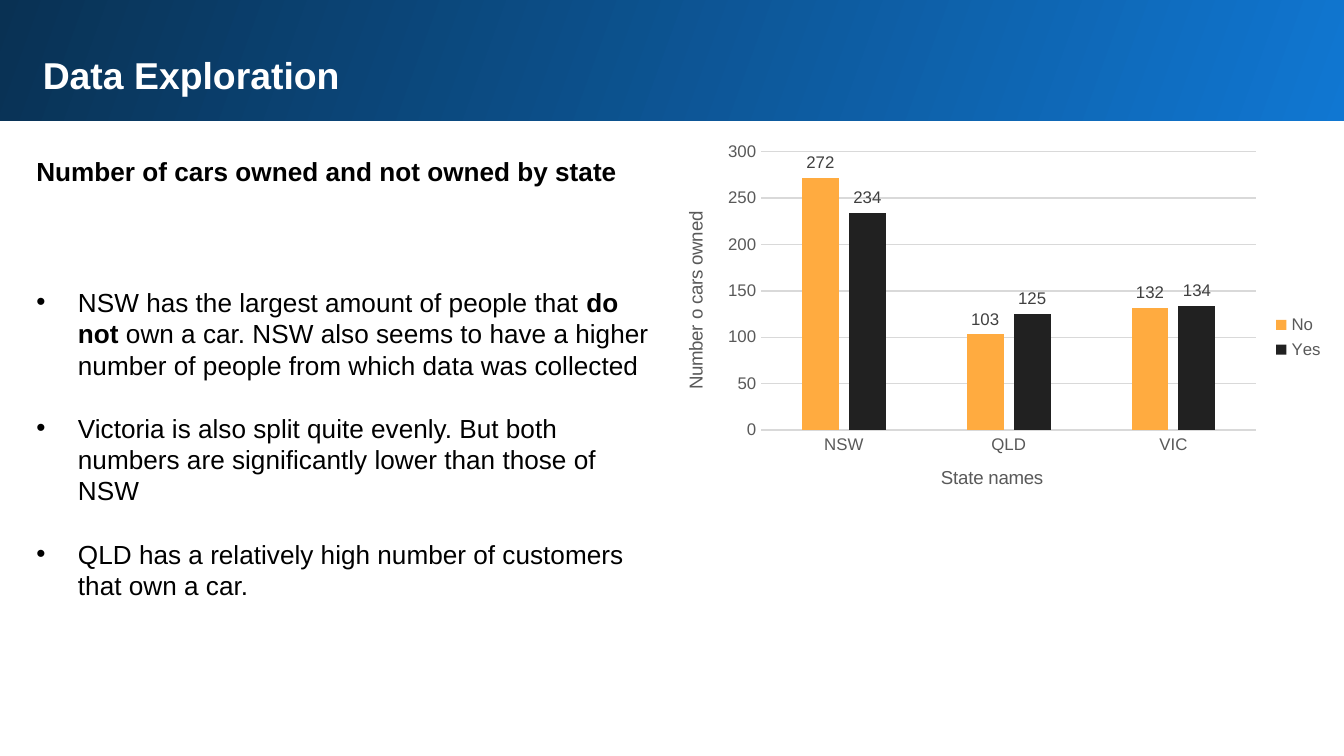
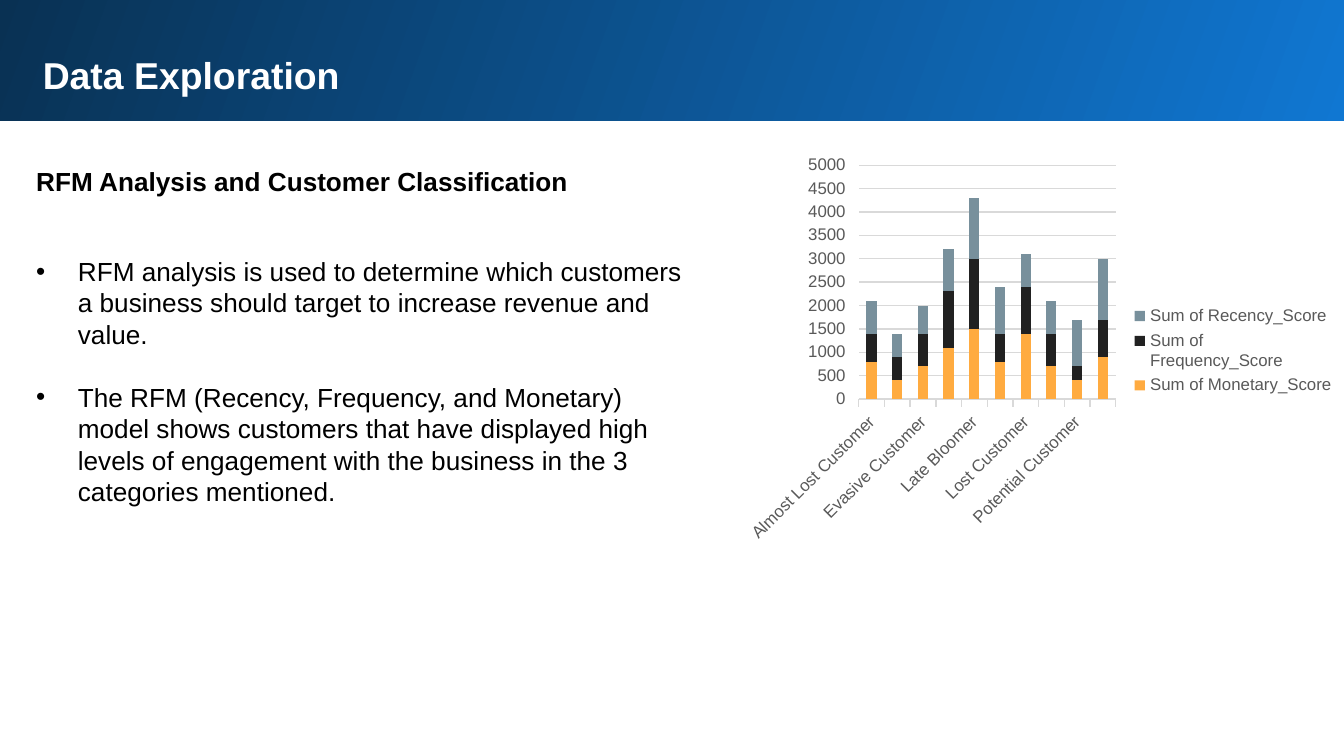
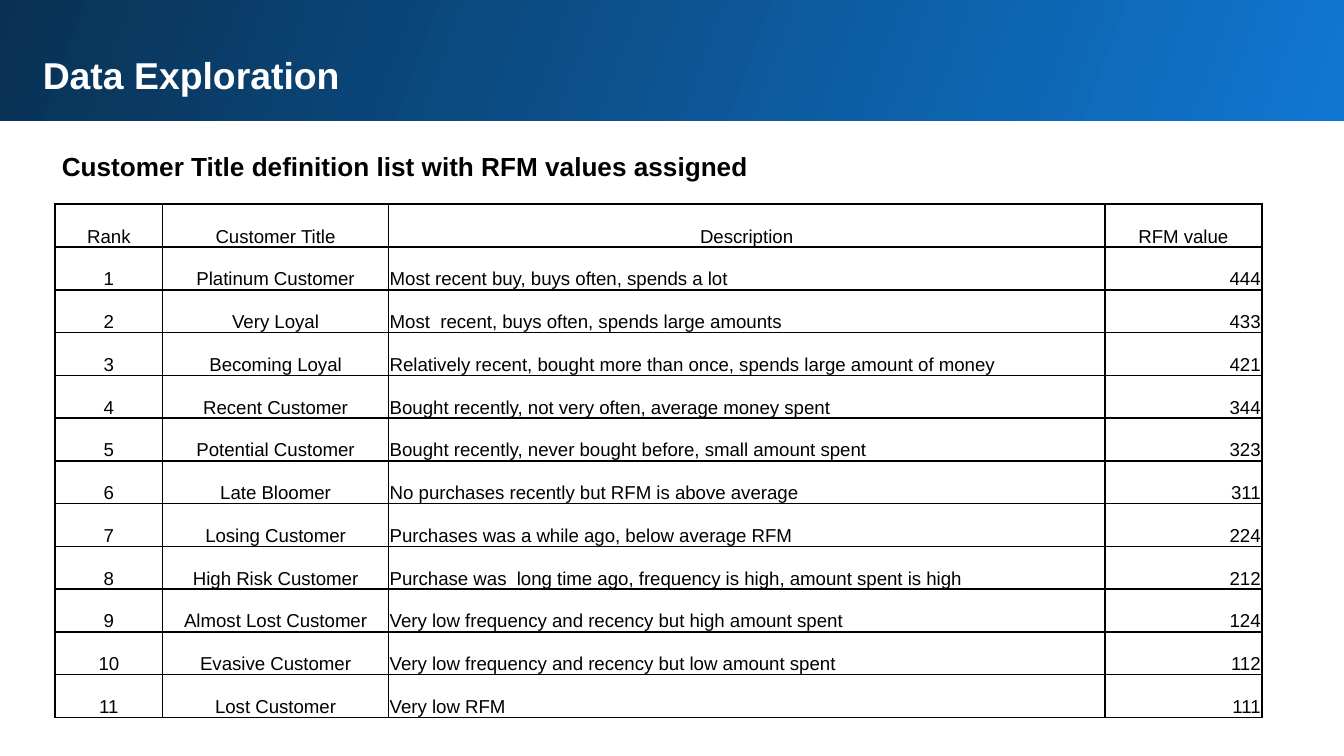
from lxml.etree import SubElement
from pptx import Presentation
from pptx.chart.data import CategoryChartData
from pptx.dml.color import RGBColor
from pptx.enum.chart import XL_CHART_TYPE as ChartType, XL_LABEL_POSITION as LabelSpot
from pptx.enum.chart import XL_LEGEND_POSITION as LegendSpot, XL_TICK_MARK as Tick
from pptx.enum.shapes import MSO_SHAPE as Shape
from pptx.enum.text import MSO_ANCHOR as Anchor, MSO_AUTO_SIZE as AutoSize, PP_ALIGN as Align
from pptx.oxml import parse_xml
from pptx.oxml.ns import nsdecls, qn
from pptx.util import Inches, Pt

# Shared look
WIDTH = 10
HEIGHT = WIDTH * 9 / 16
FONT = "Arial"
COLORS = {"bright": "1077D2", "navy": "093153", "white": "FFFFFF", "black": "000000",
          "orange": "FFAB40", "charcoal": "212121", "slate": "78909C",
          "axis": "595959", "label": "404040", "grid": "D9D9D9"}
TITLE = "Data Exploration"
LEFT, INDENT, BULLET_GAP = 0.22, 0.31, 17

# Content: text is a list of paragraphs, each a list of (words, bold)
CHART_PAGES = [
    {"heading": ("Number of cars owned and not owned by state", 1.11, 4.68),
     "bullets_at": (2.08, 4.75, 2.22),
     "bullets": [
         [("NSW has the largest amount of people that ", False), ("do not", True),
          (" own a car. NSW also seems to have a higher number of people "
           "from which data was collected", False)],
         [("Victoria is also split quite evenly. But both numbers are "
           "significantly lower than those of NSW", False)],
         [("QLD has a relatively high number of customers that own a car.", False)]],
     "chart": {
         "kind": ChartType.COLUMN_CLUSTERED, "at": (4.91, 1.01, 5.04, 3),
         "plot": (0.15, 0.04, 0.73, 0.69), "gap": 219, "overlap": -27,
         "top": 300, "step": 50, "tick": Tick.NONE, "labels": True,
         "titles": [("State names", 0.41, 0.81), ("Number o cars owned", 0.03, 0.18)],
         "categories": ["NSW", "QLD", "VIC"],
         "series": [("No", "orange", [272, 103, 132]),
                    ("Yes", "charcoal", [234, 125, 134])]}},
    {"heading": ("RFM Analysis and Customer Classification", 1.18, 5.26),
     "bullets_at": (1.85, 5.03, 1.99),
     "bullets": [
         [("RFM analysis is used to determine which customers a business should "
           "target to increase revenue and value.", False)],
         [("The RFM (Recency, Frequency, and Monetary) model shows customers that "
           "have displayed high levels of engagement with the business in the 3 "
           "categories mentioned.", False)]],
     "chart": {
         "kind": ChartType.COLUMN_STACKED, "at": (5.48, 1.11, 4.55, 3),
         "plot": (0.2, 0.04, 0.42, 0.58), "gap": 150, "overlap": 100,
         "top": 5000, "step": 500, "tick": Tick.OUTSIDE, "labels": False, "titles": [],
         "categories": ["Almost Lost Customer", "Becoming Loyal", "Evasive Customer",
                        "High Risk Customer", "Late Bloomer", "Losing Customer",
                        "Lost Customer", "Platinum Customer", "Potential Customer",
                        "Recent Customer"],
         "series": [
             ("Sum of Monetary_Score", "orange",
              [800, 400, 700, 1100, 1500, 800, 1400, 700, 400, 900]),
             ("Sum of Frequency_Score", "charcoal",
              [600, 500, 700, 1200, 1500, 600, 1000, 700, 300, 800]),
             ("Sum of Recency_Score", "slate",
              [700, 500, 600, 900, 1300, 1000, 700, 700, 1000, 1300])]}},
]
TABLE_HEADING = "Customer Title definition list with RFM values assigned"
TABLE_AT = (0.41, 1.52, 8.98, 3.82)
TABLE_COLUMNS = [("Rank", 0.8, Align.CENTER), ("Customer Title", 1.68, Align.CENTER),
                 ("Description", 5.33, Align.LEFT), ("RFM value", 1.17, Align.RIGHT)]
CUSTOMERS = [
    ("Platinum Customer", "Most recent buy, buys often, spends a lot", 444),
    ("Very Loyal", "Most  recent, buys often, spends large amounts", 433),
    ("Becoming Loyal",
     "Relatively recent, bought more than once, spends large amount of money", 421),
    ("Recent Customer", "Bought recently, not very often, average money spent", 344),
    ("Potential Customer", "Bought recently, never bought before, small amount spent", 323),
    ("Late Bloomer", "No purchases recently but RFM is above average", 311),
    ("Losing Customer", "Purchases was a while ago, below average RFM", 224),
    ("High Risk Customer",
     "Purchase was  long time ago, frequency is high, amount spent is high", 212),
    ("Almost Lost Customer", "Very low frequency and recency but high amount spent", 124),
    ("Evasive Customer", "Very low frequency and recency but low amount spent", 112),
    ("Lost Customer", "Very low RFM", 111),
]


def rgb(name):
    return RGBColor.from_string(COLORS[name])


def inches(lengths):
    return [Inches(length) for length in lengths]


def style(font, size, color="black", bold=False):
    font.name, font.size, font.bold = FONT, Pt(size), bold
    font.color.rgb = rgb(color)


# Text
def add_text(page, at, paragraphs, size=14, color="black", inset=0.05, bulleted=False):
    box = page.shapes.add_textbox(*inches(at))
    frame = box.text_frame
    frame.word_wrap, frame.auto_size = True, AutoSize.SHAPE_TO_FIT_TEXT
    frame.margin_left = frame.margin_right = Inches(inset)
    frame.margin_top = frame.margin_bottom = Inches(inset)
    for number, spans in enumerate(paragraphs):
        para = frame.add_paragraph() if number else frame.paragraphs[0]
        for words, bold in spans:
            span = para.add_run()
            span.text = words
            style(span.font, size, color, bold)
        if bulleted:
            para.space_before = Pt(BULLET_GAP if number else 0)
            props = para._p.get_or_add_pPr()
            props.set("marL", str(Inches(INDENT)))
            props.set("indent", str(-Inches(INDENT)))
            SubElement(props, qn("a:buFont")).set("typeface", FONT)
            SubElement(props, qn("a:buChar")).set("char", "•")


def add_heading(page, words, left, top, width):
    add_text(page, (left, top, width, 0.34), [[(words, True)]])


def add_page(deck):
    page = deck.slides.add_slide(deck.slide_layouts[6])
    band = page.shapes.add_shape(Shape.RECTANGLE, *inches((-0.02, -0.02, WIDTH + 0.05, 0.92)))
    band.shadow.inherit = False
    band.line.fill.background()
    band.fill.gradient()
    band.fill.gradient_angle = 160
    for stop, color in zip(band.fill.gradient_stops, ("bright", "navy")):
        stop.color.rgb = rgb(color)
    add_text(page, (LEFT, 0.29, 9.37, 0.51), [[(TITLE, True)]], 20, "white", 0.1)
    return page


# Charts
def place(owner, index, shares, inner=False):
    """Fix the position of a chart part, in shares of the chart."""
    for old in owner.findall(qn("c:layout")):
        owner.remove(old)
    layout = parse_xml(f'<c:layout {nsdecls("c")}><c:manualLayout/></c:layout>')
    manual = layout[0]
    if inner:
        SubElement(manual, qn("c:layoutTarget")).set("val", "inner")
    for side in "xy":
        SubElement(manual, qn(f"c:{side}Mode")).set("val", "edge")
    for side, share in zip("xywh", shares):
        SubElement(manual, qn(f"c:{side}")).set("val", str(share))
    owner.insert(index, layout)


def add_column_chart(page, content):
    data = CategoryChartData()
    data.categories = content["categories"]
    for name, _, values in content["series"]:
        data.add_series(name, values)
    chart = page.shapes.add_chart(content["kind"], *inches(content["at"]), data).chart
    style(chart.font, 10)
    chart.has_title = False
    chart.has_legend = True
    chart.legend.position, chart.legend.include_in_layout = LegendSpot.RIGHT, False
    style(chart.legend.font, 9, "axis")

    plot = chart.plots[0]
    plot.vary_by_categories = False
    plot.gap_width, plot.overlap = content["gap"], content["overlap"]
    for series, (_, color, _) in zip(plot.series, content["series"]):
        series.format.fill.solid()
        series.format.fill.fore_color.rgb = rgb(color)
        series.invert_if_negative = False
        if content["labels"]:
            labels = series.data_labels
            labels.show_value, labels.position = True, LabelSpot.OUTSIDE_END
            style(labels.font, 9, "label")

    names, values = chart.category_axis, chart.value_axis
    for axis in (names, values):
        axis.major_tick_mark, axis.minor_tick_mark = content["tick"], Tick.NONE
        style(axis.tick_labels.font, 9, "axis")
    # Let the category labels turn when they run out of room
    names._element.find(qn("c:txPr")).find(qn("a:bodyPr")).set("rot", "-60000000")
    values.minimum_scale, values.maximum_scale = 0, content["top"]
    values.major_unit = content["step"]
    values.format.line.fill.background()
    for line in (names.format.line, values.major_gridlines.format.line):
        line.color.rgb, line.width = rgb("grid"), Pt(0.75)

    for axis, (words, x, y) in zip((names, values), content["titles"]):
        para = axis.axis_title.text_frame.paragraphs[0]
        para.text = words
        style(para.runs[0].font, 10, "axis")
        place(axis.axis_title._element, 1, (x, y))
    place(chart._chartSpace.chart.plotArea, 0, content["plot"], inner=True)


# Table
def add_borders(cell):
    props = cell._tc.get_or_add_tcPr()
    for index, side in enumerate("LRTB"):
        props.insert(index, parse_xml(
            f'<a:ln{side} {nsdecls("a")} w="{Pt(1)}"><a:solidFill>'
            f'<a:srgbClr val="{COLORS["black"]}"/></a:solidFill></a:ln{side}>'))


def add_customer_table(page):
    rows = [[name for name, _, _ in TABLE_COLUMNS]]
    rows += [(rank, *customer) for rank, customer in enumerate(CUSTOMERS, 1)]
    table = page.shapes.add_table(len(rows), len(TABLE_COLUMNS), *inches(TABLE_AT)).table
    table.first_row = table.horz_banding = False
    for column, (_, width, _) in zip(table.columns, TABLE_COLUMNS):
        column.width = Inches(width)
    for r, row in enumerate(rows):
        for c, value in enumerate(row):
            cell = table.cell(r, c)
            cell.fill.background()
            cell.vertical_anchor = Anchor.BOTTOM
            cell.margin_left = cell.margin_right = cell.margin_top = Inches(0.01)
            cell.margin_bottom = 0
            para = cell.text_frame.paragraphs[0]
            para.text = str(value)
            para.alignment = TABLE_COLUMNS[c][2] if r else Align.CENTER
            style(para.runs[0].font, 10)
            add_borders(cell)


# Build the deck
deck = Presentation()
deck.slide_width, deck.slide_height = inches((WIDTH, HEIGHT))
for content in CHART_PAGES:
    page = add_page(deck)
    add_column_chart(page, content["chart"])
    words, top, width = content["heading"]
    add_heading(page, words, LEFT, top, width)
    add_text(page, (LEFT, *content["bullets_at"]), content["bullets"], bulleted=True)
page = add_page(deck)
add_customer_table(page)
add_heading(page, TABLE_HEADING, TABLE_AT[0], 1.07, TABLE_AT[2])
deck.save("out.pptx")
